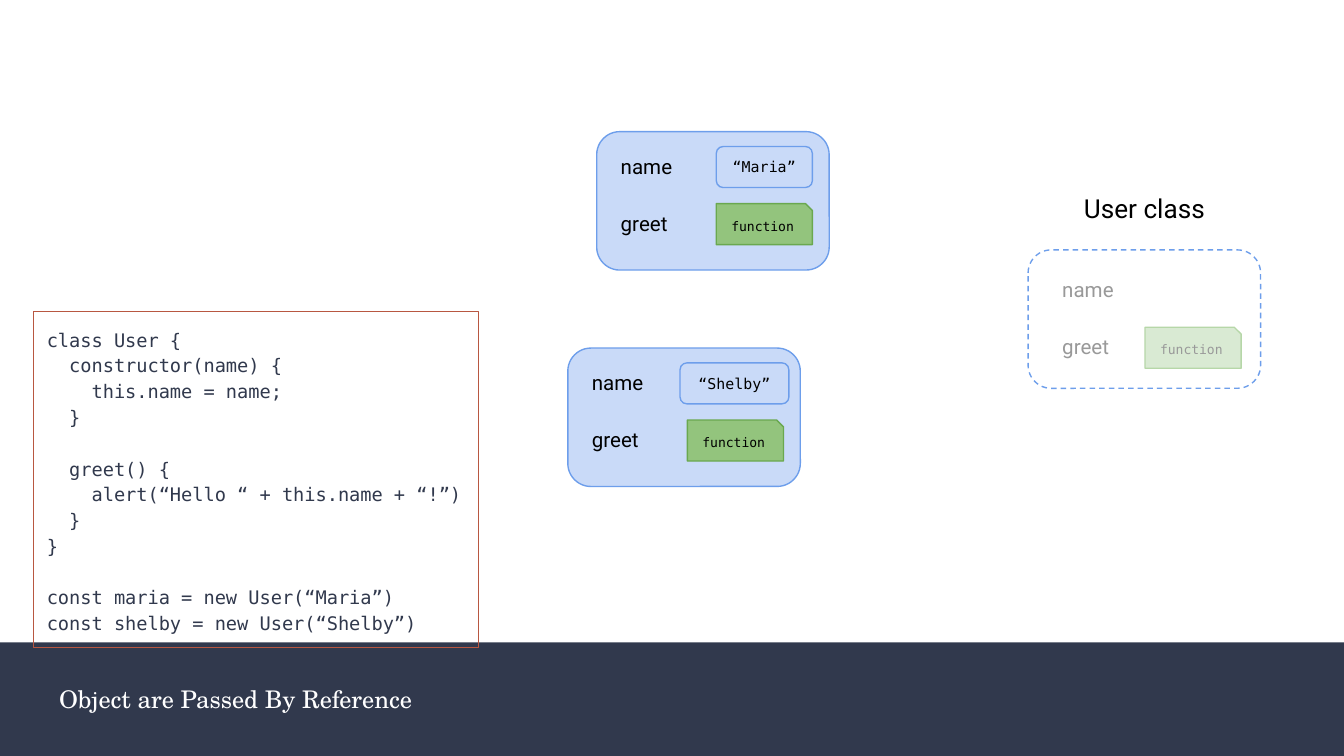
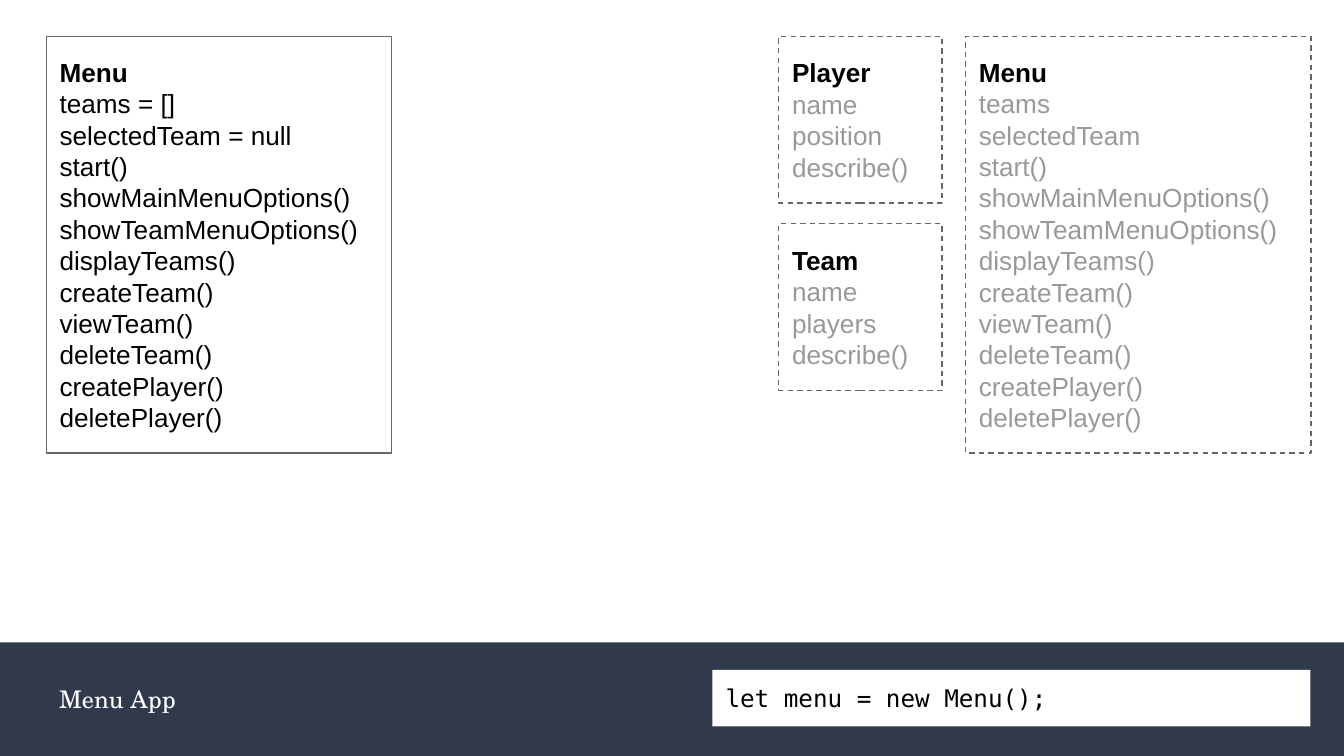
from copy import deepcopy
from dataclasses import dataclass, replace
from typing import Optional, Union

from pptx import Presentation
from pptx.dml.color import RGBColor
from pptx.enum.dml import MSO_LINE
from pptx.enum.shapes import MSO_SHAPE
from pptx.enum.text import MSO_ANCHOR as Anchor, MSO_AUTO_SIZE as AutoSize, PP_ALIGN as Align
from pptx.oxml.ns import qn
from pptx.shapes.base import BaseShape
from pptx.shapes.shapetree import GroupShapes, SlideShapes
from pptx.slide import Slide
from pptx.util import Emu, Pt

EMU_PER_PX = 4572
SLIDE_WIDTH, SLIDE_HEIGHT = 2000, 1125
BAND_TOP = 956
INSET = 20
LINE_WIDTH = 0.75
TITLE_ONLY = 5

COLORS = {
    "navy": "31394D", "white": "FFFFFF", "black": "000000",
    "gray": "999999", "dark_gray": "666666", "rust": "B85741",
    "blue": "6D9EEB", "pale_blue": "C9DAF8",
    "green": "93C47D", "dark_green": "6AA84F",
    "pale_green": "D9EAD3", "soft_green": "B6D7A8",
}
MONO, SANS, SERIF, ARIAL = "DejaVu Sans Mono", "Roboto", "TeX Gyre Schola", "Arial"

Container = Union[SlideShapes, GroupShapes]


@dataclass(frozen=True)
class Box:
    left: int
    top: int
    width: int
    height: int


@dataclass(frozen=True)
class TextStyle:
    font: str
    size: int
    color: str = "black"
    align: Align = Align.LEFT
    anchor: Anchor = Anchor.TOP
    grow: bool = False


@dataclass(frozen=True)
class Look:
    fill: Optional[str] = None
    line: Optional[str] = None
    dashed: bool = False
    kind: MSO_SHAPE = MSO_SHAPE.RECTANGLE


@dataclass(frozen=True)
class ObjectCard:
    left: int
    top: int
    value: str = ""
    value_left: int = 178
    value_width: int = 143
    label_left: int = 16
    label_top: int = 14
    function_left: int = 178
    is_class: bool = False


@dataclass(frozen=True)
class MemberCard:
    box: Box
    heading: str
    members: list[str]
    is_class: bool = True


TITLE = TextStyle(SERIF, 13, "white", anchor=Anchor.MIDDLE)
CODE = TextStyle(MONO, 10, "navy", grow=True)
COMMAND = TextStyle(MONO, 13, grow=True)
LABEL = TextStyle(SANS, 11, grow=True)
CLASS_NAME = TextStyle(SANS, 14, align=Align.CENTER, grow=True)
VALUE = TextStyle(MONO, 8, align=Align.CENTER, anchor=Anchor.MIDDLE)
FUNCTION = replace(VALUE, size=7)
MEMBERS = TextStyle(ARIAL, 14, anchor=Anchor.MIDDLE)

INSTANCE_LOOK = Look("pale_blue", "blue", kind=MSO_SHAPE.ROUNDED_RECTANGLE)
CLASS_LOOK = replace(INSTANCE_LOOK, fill=None, dashed=True)
FUNCTION_LOOK = Look("green", "dark_green", kind=MSO_SHAPE.SNIP_1_RECTANGLE)
FADED_FUNCTION_LOOK = replace(FUNCTION_LOOK, fill="pale_green", line="soft_green")

CODE_TEXT = """class User {
  constructor(name) {
    this.name = name;
  }

  greet() {
    alert(“Hello “ + this.name + “!”)
  }
}

const maria = new User(“Maria”)
const shelby = new User(“Shelby”)"""

USER_CLASS = ObjectCard(1530, 372, label_left=31, label_top=22, function_left=174, is_class=True)
INSTANCES = [
    ObjectCard(888, 196, "“Maria”"),
    ObjectCard(845, 518, "“Shelby”", value_left=167, value_width=162),
]

MENU_METHODS = [
    "start()", "showMainMenuOptions()", "showTeamMenuOptions()\ndisplayTeams()",
    "createTeam()", "viewTeam()", "deleteTeam()", "createPlayer()", "deletePlayer()",
]
MEMBER_CARDS = [
    MemberCard(Box(69, 54, 514, 620), "Menu",
               ["teams = []", "selectedTeam = null", *MENU_METHODS], is_class=False),
    MemberCard(Box(1159, 54, 243, 248), "Player", ["name", "position", "describe()"]),
    MemberCard(Box(1159, 333, 243, 248), "Team", ["name", "players", "describe()"]),
    MemberCard(Box(1437, 54, 514, 620), "Menu", ["teams", "selectedTeam", *MENU_METHODS]),
]


def px(length: int) -> Emu:
    return Emu(length * EMU_PER_PX)


def rgb(name: str) -> RGBColor:
    return RGBColor.from_string(COLORS[name])


def frame(box: Box) -> tuple[Emu, Emu, Emu, Emu]:
    return px(box.left), px(box.top), px(box.width), px(box.height)


def write(shape: BaseShape, paragraphs: list[str], style: TextStyle) -> None:
    text_frame = shape.text_frame
    text_frame.word_wrap = True
    text_frame.auto_size = AutoSize.SHAPE_TO_FIT_TEXT if style.grow else AutoSize.NONE
    text_frame.vertical_anchor = style.anchor
    text_frame.margin_left = text_frame.margin_right = px(INSET)
    text_frame.margin_top = text_frame.margin_bottom = px(INSET)
    for index, text in enumerate(paragraphs):
        paragraph = text_frame.paragraphs[0] if index == 0 else text_frame.add_paragraph()
        paragraph.text = text
        paragraph.alignment = style.align
        for run in paragraph.runs:
            run.font.name = style.font
            run.font.size = Pt(style.size)
            run.font.color.rgb = rgb(style.color)
        for line_break in paragraph._p.findall(qn("a:br")):
            line_break.append(deepcopy(paragraph.runs[0].font._element))


def add_block(shapes: Container, box: Box, look: Look) -> BaseShape:
    shape = shapes.add_shape(look.kind, *frame(box))
    shape.shadow.inherit = False
    if look.fill:
        shape.fill.solid()
        shape.fill.fore_color.rgb = rgb(look.fill)
    else:
        shape.fill.background()
    if look.line:
        shape.line.color.rgb = rgb(look.line)
        shape.line.width = Pt(LINE_WIDTH)
        if look.dashed:
            shape.line.dash_style = MSO_LINE.DASH
    else:
        shape.line.fill.background()
    return shape


def add_label(shapes: Container, box: Box, text: str, style: TextStyle) -> None:
    write(shapes.add_textbox(*frame(box)), [text], style)


def add_titled_slide(presentation: Presentation, title: str) -> Slide:
    slide = presentation.slides.add_slide(presentation.slide_layouts[TITLE_ONLY])
    band_box = Box(0, BAND_TOP, SLIDE_WIDTH, SLIDE_HEIGHT - BAND_TOP)
    band = add_block(slide.shapes, band_box, Look("navy"))
    placeholder = slide.shapes.title
    placeholder._element.addprevious(band._element)
    placeholder.left, placeholder.top, placeholder.width, placeholder.height = frame(
        Box(68, 990, 1746, 100))
    write(placeholder, [title], TITLE)
    return slide


def draw_object(shapes: Container, card: ObjectCard) -> None:
    ink = "gray" if card.is_class else "black"
    add_block(shapes, Box(card.left, card.top, 346, 206),
              CLASS_LOOK if card.is_class else INSTANCE_LOOK)
    if card.value:
        value = add_block(shapes, Box(card.left + card.value_left, card.top + 22,
                                      card.value_width, 61), INSTANCE_LOOK)
        write(value, [card.value], VALUE)
    for row, (label, width) in enumerate([("name", 118), ("greet", 162)]):
        box = Box(card.left + card.label_left, card.top + card.label_top + 85 * row, width, 78)
        add_label(shapes, box, label, replace(LABEL, color=ink))
    function = add_block(shapes, Box(card.left + card.function_left,
                                     card.top + card.label_top + 93, 143, 61),
                         FADED_FUNCTION_LOOK if card.is_class else FUNCTION_LOOK)
    write(function, ["function"], replace(FUNCTION, color=ink))


def draw_members(shapes: Container, card: MemberCard) -> None:
    shape = add_block(shapes, card.box, Look("white", "dark_gray", card.is_class))
    write(shape, [card.heading, *card.members],
          replace(MEMBERS, color="gray" if card.is_class else "black"))
    heading = shape.text_frame.paragraphs[0].runs[0]
    heading.font.bold = True
    heading.font.color.rgb = rgb("black")


def build_reference_slide(presentation: Presentation) -> None:
    shapes = add_titled_slide(presentation, "Object are Passed By Reference").shapes
    code = add_block(shapes, Box(50, 464, 662, 500), Look(line="rust"))
    write(code, [CODE_TEXT], CODE)
    paragraph = code.text_frame.paragraphs[0]
    paragraph.line_spacing = 1.15
    paragraph.space_before = paragraph.space_after = Pt(10)
    draw_object(shapes, USER_CLASS)
    add_label(shapes, Box(1584, 266, 238, 88), "User class", CLASS_NAME)
    for card in INSTANCES:
        draw_object(shapes.add_group_shape().shapes, card)


def build_menu_slide(presentation: Presentation) -> None:
    shapes = add_titled_slide(presentation, "Menu App").shapes
    for card in MEMBER_CARDS:
        draw_members(shapes, card)
    command = add_block(shapes, Box(1060, 997, 890, 84), Look("white"))
    write(command, ["let menu = new Menu();"], COMMAND)


def main() -> None:
    presentation = Presentation()
    presentation.slide_width = px(SLIDE_WIDTH)
    presentation.slide_height = px(SLIDE_HEIGHT)
    build_reference_slide(presentation)
    build_menu_slide(presentation)
    presentation.save("out.pptx")


if __name__ == "__main__":
    main()
